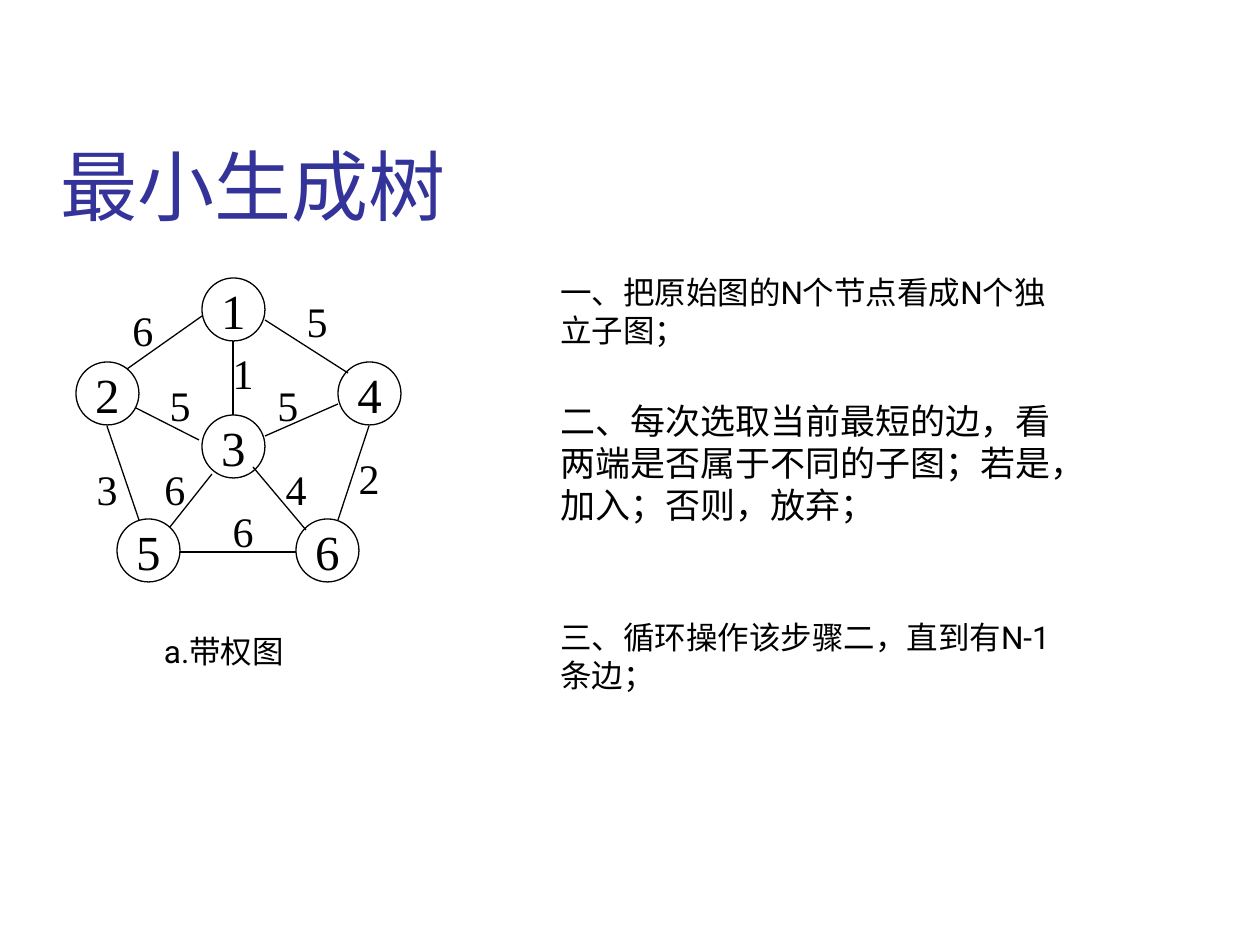
import dataclasses

import lxml.etree
import pptx
import pptx.dml.color
import pptx.enum.shapes
import pptx.enum.text
import pptx.oxml.ns
import pptx.util

SCALE = pptx.util.Inches(1) / 126
ALIGN = pptx.enum.text.PP_ALIGN
ANCHOR = pptx.enum.text.MSO_ANCHOR
INSET = 6
NODE_SIZE = 63


@dataclasses.dataclass(frozen=True)
class Theme:
    ink: str = "000000"
    heading: str = "333399"
    latin: str = "Roboto"
    chinese: str = "Noto Sans CJK SC"
    digits: str = "Times New Roman"
    title_size: int = 44
    node_size: int = 28
    weight_size: int = 24
    body_size: int = 18
    emphasis_size: int = 20
    line_width: float = 0.75


THEME = Theme()

NODES = {
    "1": (126, 0),
    "2": (0, 84),
    "3": (126, 137),
    "4": (262, 84),
    "5": (41, 241),
    "6": (220, 241),
}

# start, end, weight, weight position
EDGES = [
    ((51, 91), (126, 38), "6", (46, 21)),
    ((94, 249), (136, 196), "6", (78, 179)),
    ((189, 158), (262, 126), "5", (191, 95)),
    ((60, 130), (123, 162), "5", (83, 95)),
    ((189, 42), (272, 95), "5", (220, 11)),
    ((262, 242), (293, 148), "2", (272, 168)),
    ((63, 242), (31, 148), "3", (10, 179)),
    ((104, 274), (220, 274), "6", (146, 221)),
    ((157, 137), (157, 63), "1", (146, 63)),
    ((177, 189), (230, 252), "4", (199, 179)),
]

STEPS = [
    (0, 112, THEME.body_size, "一、把原始图的N个节点看成N个独立子图；"),
    (127, 160, THEME.emphasis_size,
     "二、每次选取当前最短的边，看两端是否属于不同的子图；若是，加入；否则，放弃；"),
    (345, 111, THEME.body_size, "三、循环操作该步骤二，直到有N-1条边；"),
]


def px(length):
    return pptx.util.Emu(round(length * SCALE))


def color(code):
    return pptx.dml.color.RGBColor.from_string(code)


def add_text(shapes, box, text, size, font=THEME.latin, ink=THEME.ink,
             align=ALIGN.LEFT, anchor=ANCHOR.TOP, wrap=True, leading=None):
    frame = shapes.add_textbox(*map(px, box)).text_frame
    frame.word_wrap = wrap
    frame.vertical_anchor = anchor
    frame.margin_left = frame.margin_right = px(INSET)
    frame.margin_top = frame.margin_bottom = px(INSET)
    para = frame.paragraphs[0]
    para.add_run().text = text
    para.alignment = align
    if leading:
        para.line_spacing = pptx.util.Pt(leading)
    para.font.size = pptx.util.Pt(size)
    para.font.color.rgb = color(ink)
    para.font.name = font
    for properties in para._p.iter(pptx.oxml.ns.qn("a:defRPr")):
        east_asian = lxml.etree.SubElement(properties, pptx.oxml.ns.qn("a:ea"))
        east_asian.set("typeface", THEME.chinese)


def style_line(line):
    line.color.rgb = color(THEME.ink)
    line.width = pptx.util.Pt(THEME.line_width)


def add_edge(shapes, start, end):
    edge = shapes.add_connector(
        pptx.enum.shapes.MSO_CONNECTOR.STRAIGHT, *map(px, start + end))
    style_line(edge.line)
    lxml.etree.SubElement(edge._element.spPr, pptx.oxml.ns.qn("a:effectLst"))


def add_node(shapes, left, top, name):
    circle = shapes.add_shape(
        pptx.enum.shapes.MSO_SHAPE.OVAL,
        *map(px, (left, top, NODE_SIZE, NODE_SIZE)))
    circle.shadow.inherit = False
    circle.fill.background()
    style_line(circle.line)
    add_text(shapes, (left + 12, top - 2, 39, 67), name, THEME.node_size,
             font=THEME.digits, align=ALIGN.CENTER, anchor=ANCHOR.MIDDLE,
             wrap=False)


def add_graph(page, left, top):
    shapes = page.shapes.add_group_shape().shapes

    def place(point):
        return (left + point[0], top + point[1])

    for start, end, _, _ in EDGES:
        add_edge(shapes, place(start), place(end))
    for name, corner in NODES.items():
        add_node(shapes, *place(corner), name)
    for _, _, weight, corner in EDGES:
        add_text(shapes, place(corner) + (42, 58), weight, THEME.weight_size,
                 font=THEME.digits, align=ALIGN.CENTER)


def add_steps(page, left, top, width):
    for offset, height, size, text in STEPS:
        add_text(page.shapes, (left, top + offset, width, height), text, size,
                 leading=round(size * 1.21))


def main():
    deck = pptx.Presentation()
    deck.slide_width, deck.slide_height = px(1260), px(945)
    page = deck.slides.add_slide(deck.slide_layouts[6])
    add_text(page.shapes, (55, 35, 1071, 202), "最小生成树", THEME.title_size,
             font=THEME.chinese, ink=THEME.heading, anchor=ANCHOR.BOTTOM)
    add_graph(page, 76, 278)
    add_text(page.shapes, (103, 625, 242, 83), "a.带权图", THEME.body_size,
             align=ALIGN.CENTER, leading=22)
    add_steps(page, 554, 266, 525)
    deck.save("out.pptx")


if __name__ == "__main__":
    main()
